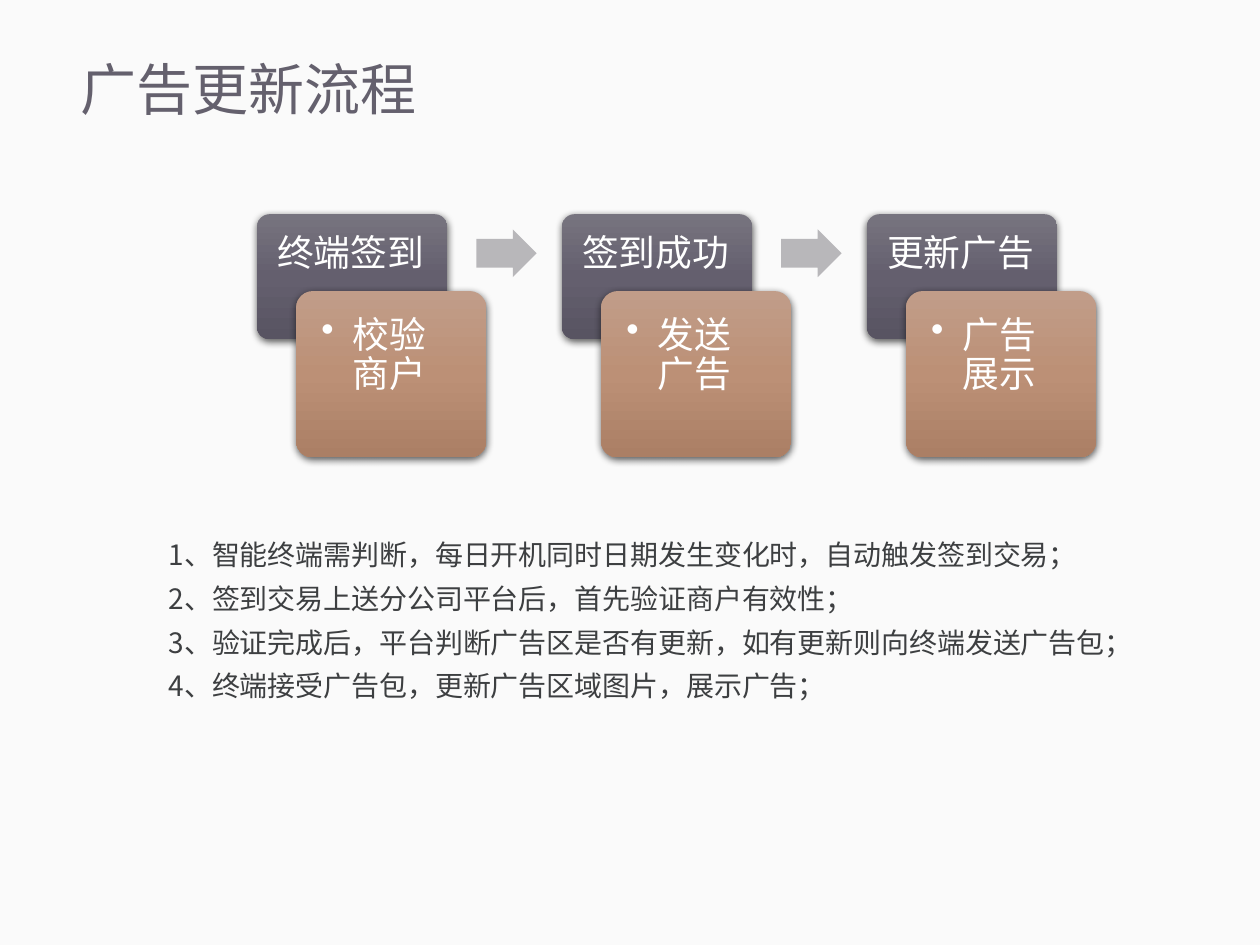
from copy import deepcopy
from dataclasses import dataclass

from lxml.etree import SubElement
from pptx import Presentation
from pptx.dml.color import RGBColor
from pptx.enum.shapes import MSO_SHAPE
from pptx.enum.text import MSO_ANCHOR, PP_ALIGN
from pptx.oxml.ns import qn
from pptx.util import Inches, Pt


@dataclass(frozen=True)
class Theme:
    background: str = "FAFAFA"
    title: str = "64606D"
    body: str = "3D3F41"
    light: str = "FFFFFF"
    arrow: str = "B8B7BA"
    shadow: str = "000000"
    header_fill: tuple = ("77747F", "645F6E", "585462")
    detail_fill: tuple = ("C19D89", "BC9076", "AB7F65")
    title_size: float = 32
    step_size: float = 21
    note_size: float = 16
    cjk_font: str = "Noto Sans CJK SC"
    step_font: str = "Arial"


@dataclass(frozen=True)
class Box:
    left: float
    top: float
    width: float
    height: float

    def inches(self):
        return [Inches(v) for v in (self.left, self.top, self.width, self.height)]

    def inner(self, left, top, width, height):
        """Return a box whose left and top are measured from this box."""
        return Box(self.left + left, self.top + top, width, height)


THEME = Theme()
STEPS = [("终端签到", "校验商户"), ("签到成功", "发送广告"), ("更新广告", "广告展示")]
NOTES = [
    "1、智能终端需判断，每日开机同时日期发生变化时，自动触发签到交易；",
    "2、签到交易上送分公司平台后，首先验证商户有效性；",
    "3、验证完成后，平台判断广告区是否有更新，如有更新则向终端发送广告包；",
    "4、终端接受广告包，更新广告区域图片，展示广告；",
]
STEP_PITCH = 2.42
CORNER = 0.1  # radius as a share of the shorter side


def write_text(shape, lines, *, size, color, font, spacing, after=0,
               anchor=MSO_ANCHOR.TOP, insets=(0.1, 0.05, 0.1, 0.05), bullet=False):
    frame = shape.text_frame
    frame.word_wrap = True
    frame.vertical_anchor = anchor
    (frame.margin_left, frame.margin_top,
     frame.margin_right, frame.margin_bottom) = [Inches(v) for v in insets]
    for index, line in enumerate(lines):
        para = frame.add_paragraph() if index else frame.paragraphs[0]
        para.alignment = PP_ALIGN.LEFT
        para.line_spacing = spacing
        para.space_after = Pt(after)
        if bullet:
            add_bullet(para)
        span = para.add_run()
        span.text = line
        span.font.size = Pt(size)
        span.font.name = font
        span.font.color.rgb = RGBColor.from_string(color)
        SubElement(span.font._element, qn("a:ea"), typeface=THEME.cjk_font)


def add_bullet(para):
    properties = para._p.get_or_add_pPr()
    properties.set("marL", str(Inches(0.25)))
    properties.set("indent", str(-Inches(0.25)))
    SubElement(properties, qn("a:buChar"), char="•")


def fill_gradient(shape, colors):
    """Fill from top to bottom with three evenly spaced colours."""
    shape.fill.gradient()
    shape.fill.gradient_angle = 270
    stop_list = shape._element.spPr.find(qn("a:gradFill")).find(qn("a:gsLst"))
    stop_list.append(deepcopy(stop_list[0]))
    for index, (stop, color) in enumerate(zip(shape.fill.gradient_stops, colors)):
        stop.position = index / (len(colors) - 1)
        stop.color.rgb = RGBColor.from_string(color)


def add_shadow(shape):
    effects = shape._element.spPr.find(qn("a:effectLst"))
    outer = SubElement(effects, qn("a:outerShdw"), blurRad=str(Pt(4.5)),
                       dist=str(Pt(1.5)), dir="5400000", rotWithShape="0")
    color = SubElement(outer, qn("a:srgbClr"), val=THEME.shadow)
    SubElement(color, qn("a:alpha"), val="63000")


def add_plain_shape(page, kind, box):
    shape = page.shapes.add_shape(kind, *box.inches())
    shape.shadow.inherit = False
    shape.line.fill.background()
    return shape


def add_card(page, box, text, *, colors, insets, **text_format):
    card = add_plain_shape(page, MSO_SHAPE.ROUNDED_RECTANGLE, box)
    card.adjustments[0] = CORNER
    fill_gradient(card, colors)
    add_shadow(card)
    # A rounded rectangle already insets its text by 0.29 of the radius.
    built_in = 0.29 * CORNER * min(box.width, box.height)
    write_text(card, [text], size=THEME.step_size, color=THEME.light,
               font=THEME.step_font, spacing=0.9,
               insets=[inset - built_in for inset in insets], **text_format)


def add_arrow(page, box):
    arrow = add_plain_shape(page, MSO_SHAPE.RIGHT_ARROW, box)
    arrow.adjustments[0] = 0.6
    arrow.adjustments[1] = 0.5
    arrow.fill.solid()
    arrow.fill.fore_color.rgb = RGBColor.from_string(THEME.arrow)


def add_process(page, box):
    for index, (header, detail) in enumerate(STEPS):
        step = box.inner(index * STEP_PITCH, 0, STEP_PITCH, box.height)
        add_card(page, step.inner(0, 0, 1.51, 0.99), header,
                 colors=THEME.header_fill, insets=(0.16, 0.16, 0.16, 0.48), after=7)
        add_card(page, step.inner(0.31, 0.61, 1.51, 1.32), detail,
                 colors=THEME.detail_fill, insets=(0.2,) * 4, after=3, bullet=True)
        if index < len(STEPS) - 1:
            add_arrow(page, step.inner(1.74, 0.12, 0.48, 0.38))


def add_title(page, box):
    write_text(page.shapes.add_textbox(*box.inches()), ["广告更新流程"],
               size=THEME.title_size, color=THEME.title, font=THEME.cjk_font,
               spacing=0.9, anchor=MSO_ANCHOR.MIDDLE)


def add_notes(page, box):
    write_text(page.shapes.add_textbox(*box.inches()), NOTES,
               size=THEME.note_size, color=THEME.body, font=THEME.cjk_font,
               spacing=1.3)


def main():
    deck = Presentation()
    deck.slide_width, deck.slide_height = Inches(10), Inches(7.5)
    page = deck.slides.add_slide(deck.slide_layouts[6])
    page.background.fill.solid()
    page.background.fill.fore_color.rgb = RGBColor.from_string(THEME.background)
    add_title(page, Box(0.54, 0.22, 8.98, 1.02))
    add_process(page, Box(2.04, 1.7, 6.66, 1.93))
    add_notes(page, Box(1.24, 4.14, 7.95, 1.5))
    deck.save("out.pptx")


if __name__ == "__main__":
    main()
